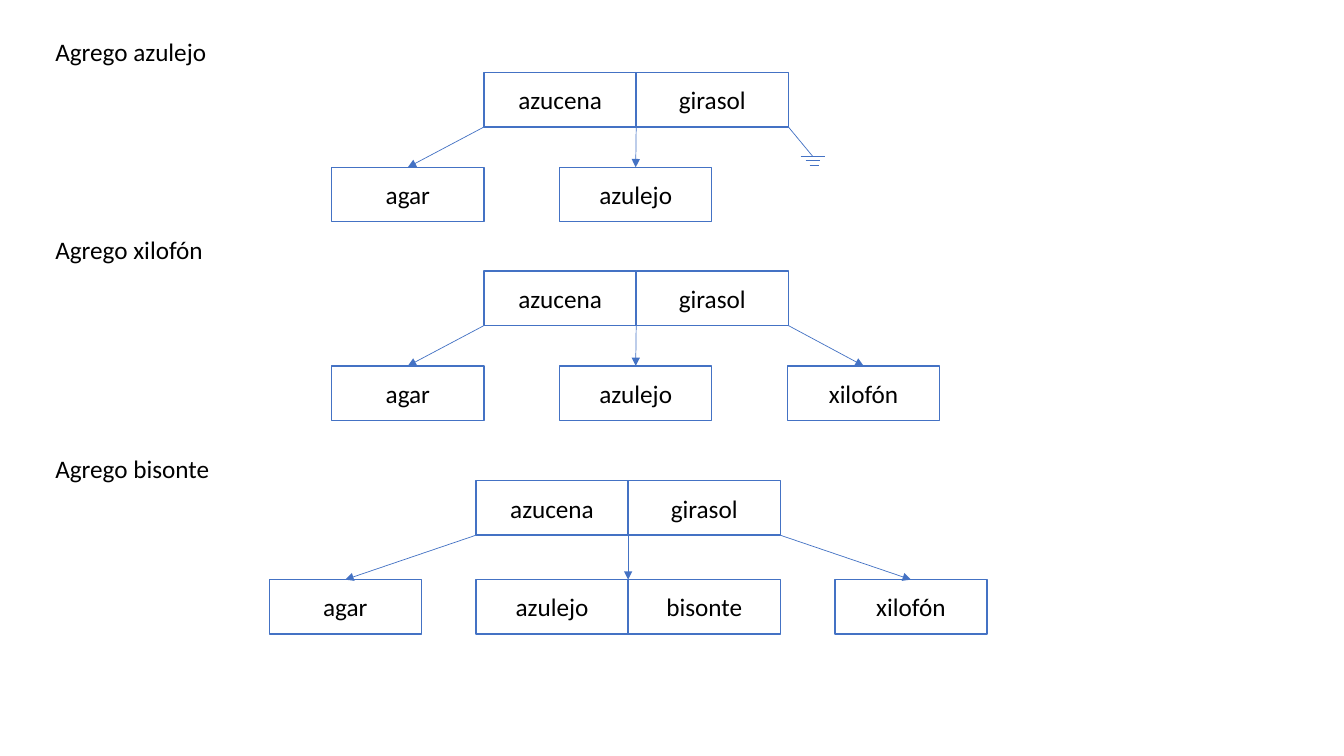
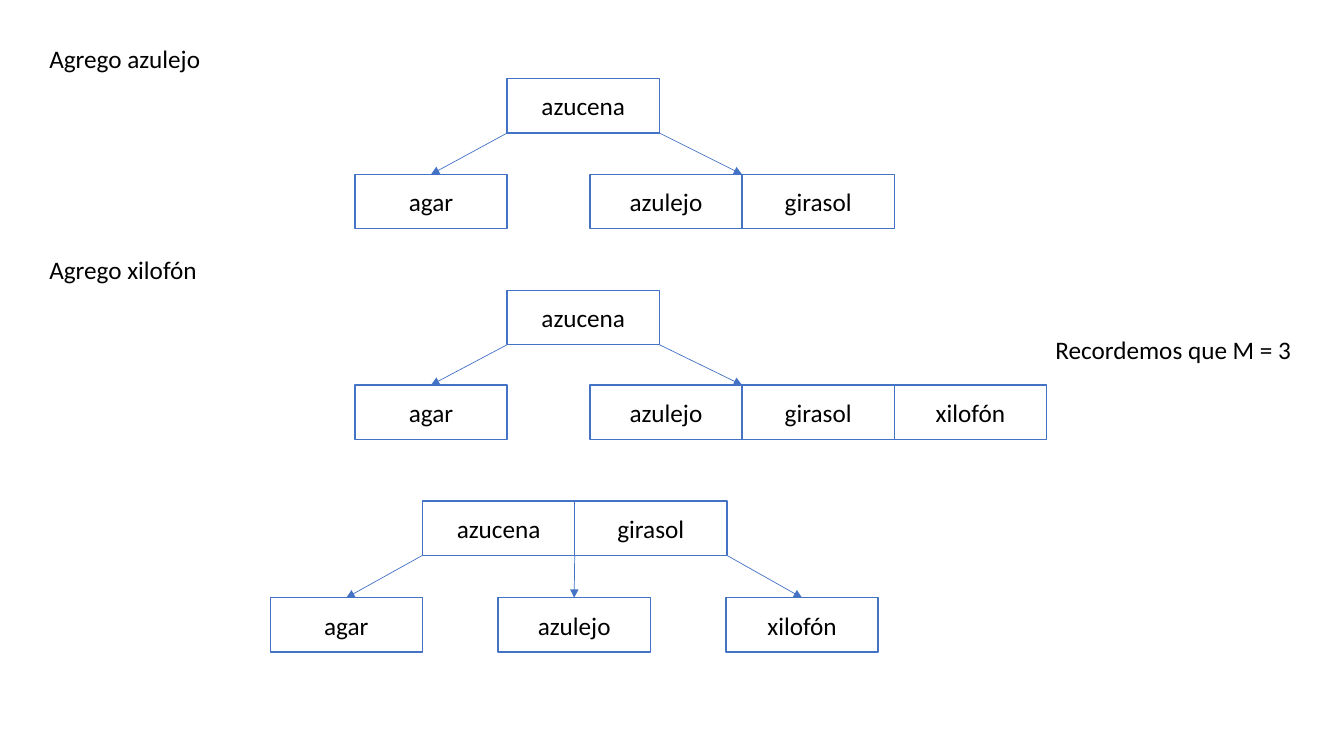
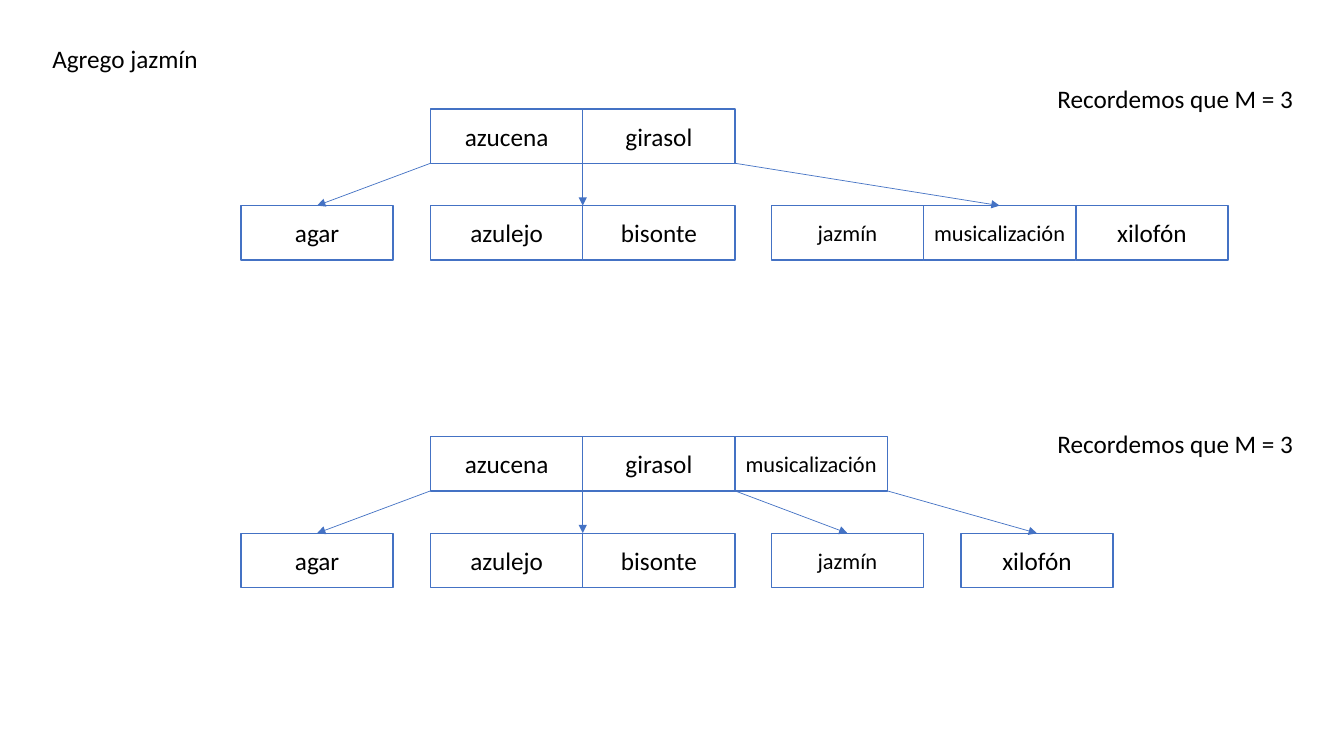
"""Build three slides of B-tree insertion diagrams."""
from dataclasses import dataclass

from lxml import etree
from pptx import Presentation
from pptx.dml.color import RGBColor
from pptx.enum.shapes import MSO_CONNECTOR, MSO_SHAPE
from pptx.enum.text import MSO_ANCHOR, MSO_AUTO_SIZE, PP_ALIGN
from pptx.oxml.ns import qn
from pptx.shapes.shapetree import GroupShapes, SlideShapes
from pptx.text.text import TextFrame
from pptx.util import Inches, Pt

RECT = MSO_SHAPE.RECTANGLE
STRAIGHT = MSO_CONNECTOR.STRAIGHT
MIDDLE = MSO_ANCHOR.MIDDLE
CENTER, LEFT = PP_ALIGN.CENTER, PP_ALIGN.LEFT
FIT_SHAPE = MSO_AUTO_SIZE.SHAPE_TO_FIT_TEXT

FONT = "Calibri"
BLACK, WHITE, BLUE = "000000", "FFFFFF", "4472C4"
KEY_W, KEY_H = 1.51, 0.54
TEXT_SIZE = 18
KEY_SIZES = {"jazmín": 16, "musicalización": 16}
GROUND_DX, GROUND_DY = 0.24, 0.29
GROUND_BARS = ((-0.12, 0.12, 0), (-0.07, 0.07, 0.04), (-0.03, 0.06, 0.09))
REMINDER = "Recordemos que M = 3"
REMINDER_W = 2.64


@dataclass(frozen=True)
class Label:
    """A free line of text."""
    text: str
    left: float
    top: float
    width: float = 2.31


@dataclass(frozen=True)
class Child:
    """A leaf node; its arrow lands at its centre unless aim_keys is set."""
    left: float
    keys: tuple[str, ...]
    aim_keys: float | None = None


@dataclass(frozen=True)
class Tree:
    """A root and its children in order, where None is an empty pointer."""
    left: float
    top: float
    keys: tuple[str, ...]
    children: tuple[Child | None, ...]
    drop: float = 0.96


@dataclass(frozen=True)
class Page:
    """The labels and trees of one slide."""
    labels: tuple[Label, ...]
    trees: tuple[Tree, ...]


ROOT = ("azucena", "girasol")
AGAR, AZULEJO, XILOFON = ("agar",), ("azulejo",), ("xilofón",)
PAIR = ("azulejo", "bisonte")

PAGES = (
    Page(
        (Label("Agrego azulejo", 0.45, 0.31),
         Label("Agrego xilofón", 0.45, 2.28),
         Label("Agrego bisonte", 0.45, 4.45)),
        (Tree(4.8, 0.72, ROOT,
              (Child(3.29, AGAR), Child(5.55, AZULEJO), None), 0.94),
         Tree(4.8, 2.69, ROOT,
              (Child(3.29, AGAR), Child(5.55, AZULEJO), Child(7.81, XILOFON)), 0.94),
         Tree(4.72, 4.77, ROOT,
              (Child(2.67, AGAR), Child(4.72, PAIR), Child(8.28, XILOFON)), 0.98)),
    ),
    Page(
        (Label("Agrego azulejo", 0.39, 0.38),
         Label("Agrego xilofón", 0.39, 2.47),
         Label(REMINDER, 10.37, 3.27, REMINDER_W)),
        (Tree(5.03, 0.78, ("azucena",),
              (Child(3.52, AGAR), Child(5.85, ("azulejo", "girasol"))), 0.95),
         Tree(5.03, 2.88, ("azucena",),
              (Child(3.52, AGAR),
               Child(5.85, ("azulejo", "girasol", "xilofón"), aim_keys=1)), 0.94),
         Tree(4.19, 4.97, ROOT,
              (Child(2.68, AGAR), Child(4.94, AZULEJO), Child(7.2, XILOFON)))),
    ),
    Page(
        (Label("Agrego jazmín", 0.42, 0.38),
         Label(REMINDER, 10.39, 0.78, REMINDER_W),
         Label(REMINDER, 10.39, 4.2, REMINDER_W)),
        (Tree(4.27, 1.08, ROOT,
              (Child(2.39, AGAR), Child(4.27, PAIR),
               Child(7.65, ("jazmín", "musicalización", "xilofón")))),
         Tree(4.27, 4.33, ROOT + ("musicalización",),
              (Child(2.39, AGAR), Child(4.27, PAIR),
               Child(7.65, ("jazmín",)), Child(9.53, XILOFON)))),
    ),
)


def rgb(value: str) -> RGBColor:
    """Turn a hex string into a colour."""
    return RGBColor.from_string(value)


def write(tf: TextFrame, text: str, size: int, align: PP_ALIGN) -> None:
    """Put one styled paragraph in a text frame."""
    tf.word_wrap = True
    p = tf.paragraphs[0]
    p.text = text
    p.alignment = align
    p.font.name = FONT
    p.font.size = Pt(size)
    p.font.color.rgb = rgb(BLACK)


def draw_label(shapes: SlideShapes, label: Label) -> None:
    """Draw a free line of text."""
    box = shapes.add_textbox(Inches(label.left), Inches(label.top),
                             Inches(label.width), Inches(0.4))
    write(box.text_frame, label.text, TEXT_SIZE, LEFT)
    box.text_frame.auto_size = FIT_SHAPE


def draw_node(shapes: SlideShapes, left: float, top: float, keys: tuple[str, ...]) -> None:
    """Draw a node as a row of touching key boxes."""
    for i, key in enumerate(keys):
        sp = shapes.add_shape(RECT, Inches(left + i * KEY_W), Inches(top),
                              Inches(KEY_W), Inches(KEY_H))
        sp.shadow.inherit = False
        sp.fill.solid()
        sp.fill.fore_color.rgb = rgb(WHITE)
        sp.line.color.rgb = rgb(BLUE)
        sp.line.width = Pt(1)
        sp.text_frame.vertical_anchor = MIDDLE
        write(sp.text_frame, key, KEY_SIZES.get(key, TEXT_SIZE), CENTER)


def draw_line(shapes: SlideShapes | GroupShapes, x1: float, y1: float,
              x2: float, y2: float, arrow: bool = False) -> None:
    """Draw a thin line, with an arrowhead at its end if asked."""
    line = shapes.add_connector(STRAIGHT, Inches(x1), Inches(y1), Inches(x2), Inches(y2))
    line.line.color.rgb = rgb(BLUE)
    line.line.width = Pt(0.5)
    if arrow:
        etree.SubElement(line.line._get_or_add_ln(), qn("a:tailEnd"), type="triangle")
    etree.SubElement(line._element.spPr, qn("a:effectLst"))


def draw_ground(shapes: SlideShapes, x: float, y: float) -> None:
    """Draw an empty pointer as a ground symbol."""
    center, top = x + GROUND_DX, y + GROUND_DY
    draw_line(shapes, x, y, center, top)
    group = shapes.add_group_shape()
    for start, end, dy in GROUND_BARS:
        draw_line(group.shapes, center + start, top + dy, center + end, top + dy)


def draw_tree(shapes: SlideShapes, tree: Tree) -> None:
    """Draw a root, its children and the pointers between them."""
    draw_node(shapes, tree.left, tree.top, tree.keys)
    bottom, child_top = tree.top + KEY_H, tree.top + tree.drop
    for i, child in enumerate(tree.children):
        x = tree.left + i * KEY_W
        if child is None:
            draw_ground(shapes, x, bottom)
            continue
        draw_node(shapes, child.left, child_top, child.keys)
        aim = len(child.keys) / 2 if child.aim_keys is None else child.aim_keys
        draw_line(shapes, x, bottom, child.left + aim * KEY_W, child_top, arrow=True)


def main() -> None:
    """Build and save the presentation."""
    prs = Presentation()
    prs.slide_width, prs.slide_height = Inches(13.33), Inches(7.5)
    for page in PAGES:
        s = prs.slides.add_slide(prs.slide_layouts[6])
        for label in page.labels:
            draw_label(s.shapes, label)
        for tree in page.trees:
            draw_tree(s.shapes, tree)
    prs.save("out.pptx")


if __name__ == "__main__":
    main()
